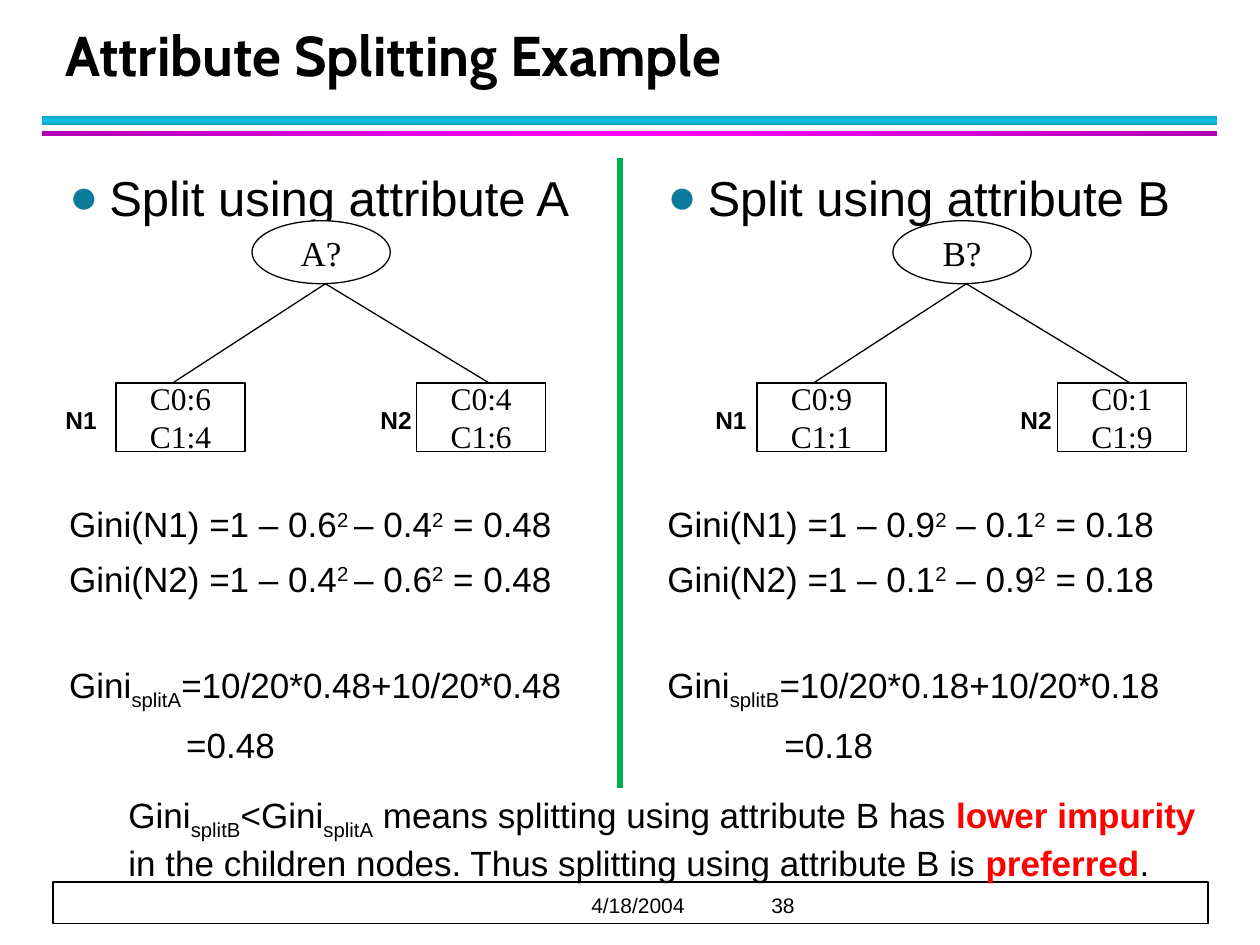
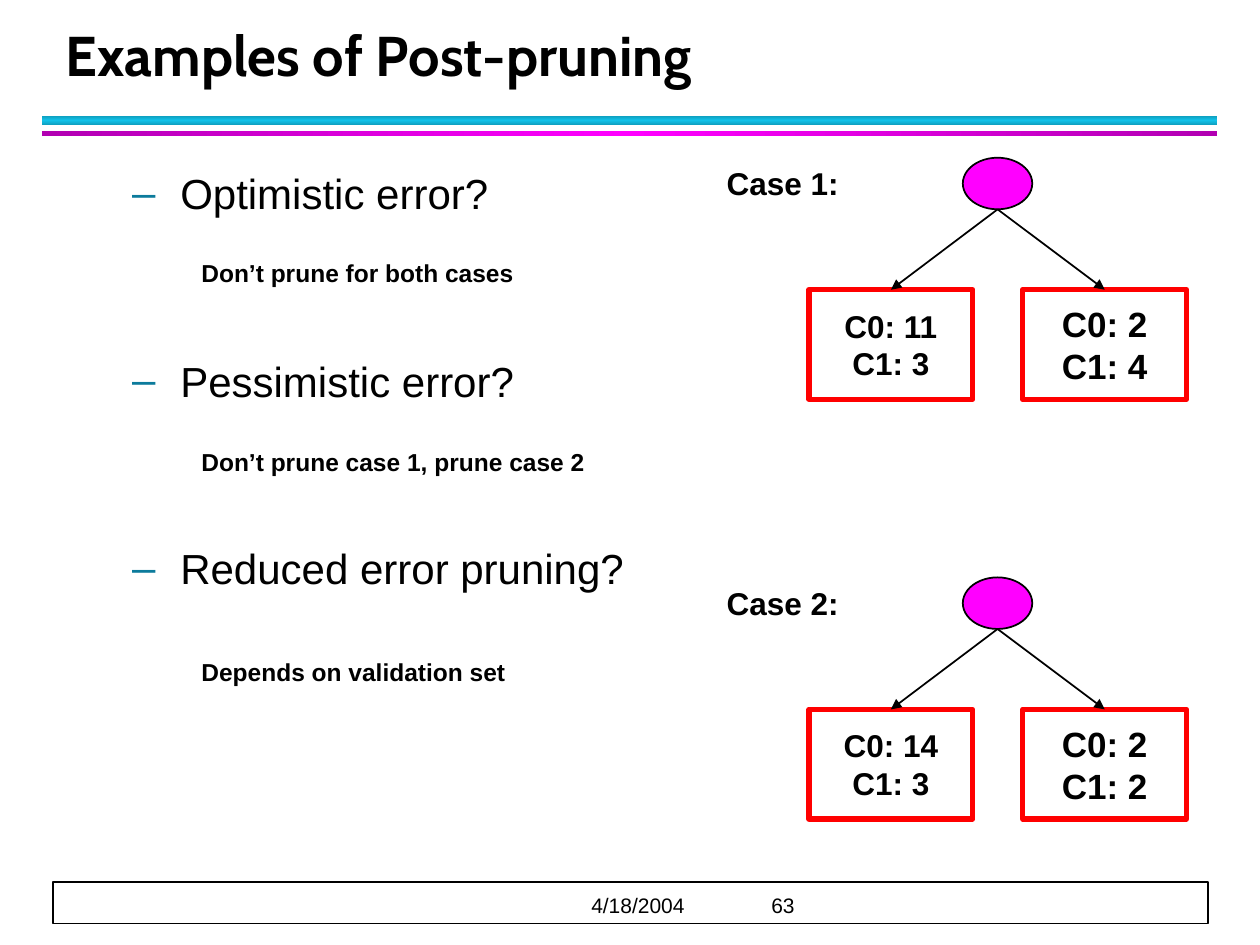
from copy import deepcopy
from lxml.etree import SubElement as Sub
from pptx import Presentation
from pptx.dml.color import RGBColor
from pptx.enum.shapes import MSO_CONNECTOR as Link, MSO_SHAPE as Kind
from pptx.enum.text import MSO_ANCHOR as Anchor, MSO_AUTO_SIZE as Fit, PP_ALIGN as Align
from pptx.oxml.ns import qn
from pptx.util import Cm, Pt

BLACK = RGBColor(0, 0, 0)
WHITE = RGBColor(255, 255, 255)
RED = RGBColor(255, 0, 0)
GREEN = RGBColor(0, 176, 80)
PINK = RGBColor(255, 0, 255)
PLUM = RGBColor(178, 0, 178)
CYAN = RGBColor(18, 194, 233)
TEAL = RGBColor(14, 155, 186)
MARK = RGBColor(12, 123, 156)
SANS = "Arial"
SERIF = "Times New Roman"
HEAD = "Cabin"


def put(page, kind, box, fill=None, line=None, width=1):
    box = [Cm(v) for v in box]
    if kind is None:
        shape = page.shapes.add_textbox(*box)
        shape.text_frame.word_wrap = True
        return shape
    shape = page.shapes.add_shape(kind, *box)
    shape.shadow.inherit = False
    if fill is None:
        shape.fill.background()
    else:
        shape.fill.solid()
        shape.fill.fore_color.rgb = fill
    if line is None:
        shape.line.fill.background()
    else:
        shape.line.color.rgb = line
        shape.line.width = Pt(width)
    shape.text_frame.vertical_anchor = Anchor.MIDDLE
    return shape


def say(para, text, size, font=SANS, bold=False, color=BLACK, base=0):
    run = para.add_run()
    run.text = text
    run.font.size = Pt(size)
    run.font.name = font
    run.font.bold = bold
    run.font.color.rgb = color
    if base:
        run._r.get_or_add_rPr().set("baseline", str(base * 1000))


deck = Presentation()
deck.slide_width, deck.slide_height = Cm(25.4), Cm(19.05)
split = deck.slides.add_slide(deck.slide_layouts[3])
prune = deck.slides.add_slide(deck.slide_layouts[1])
lines = []
items = []

for page, title, number in [
    (split, "Attribute Splitting Example", "38"),
    (prune, "Examples of Post-pruning", "63"),
]:
    for top, high, edge, core, angle in [
        (2.33, 0.2, TEAL, CYAN, 90),
        (2.64, 0.1, PLUM, PINK, 0),
    ]:
        band = put(page, Kind.RECTANGLE, (0.84, top, 23.7, high), core)
        band.fill.gradient()
        band.fill.gradient_angle = angle
        stops = band._element.spPr.find(".//" + qn("a:gsLst"))
        stops.append(deepcopy(stops[0]))
        for stop, color, place in zip(
            band.fill.gradient_stops, (edge, core, edge), (0, 0.5, 1)
        ):
            stop.color.rgb = color
            stop.position = place

    put(page, Kind.RECTANGLE, (1.07, 17.78, 23.29, 0.84), WHITE, BLACK)
    for left, text in [(11.92, "4/18/2004"), (15.55, number)]:
        frame = put(page, None, (left, 17.86, 3, 0.64)).text_frame
        frame.margin_left = frame.margin_top = frame.margin_bottom = 0
        frame.vertical_anchor = Anchor.BOTTOM
        say(frame.paragraphs[0], text, 12)

    name = page.shapes.title
    name.left, name.top, name.width, name.height = Cm(1.07), Cm(0.43), Cm(23), Cm(1.47)
    frame = name.text_frame
    frame.auto_size = Fit.NONE
    frame.vertical_anchor = Anchor.BOTTOM
    para = frame.paragraphs[0]
    para.alignment = Align.LEFT
    para.line_spacing = 1.12
    say(para, title, 32, HEAD, True)

for slot, left, wide in [
    (split.placeholders[1], 1.14, 11.35),
    (split.placeholders[2], 13.2, 11.35),
    (prune.placeholders[1], 1.14, 12.83),
]:
    slot.left, slot.top, slot.width, slot.height = Cm(left), Cm(3.25), Cm(wide), Cm(14.4)
    slot.text_frame.auto_size = Fit.NONE

for side, (key, shift, tags, nodes, sums, total) in enumerate([
    ("A", 0, (1.07, 7.42), ("64", "46"),
     (("0.6", "2 ", "– 0.4", " = 0.48"), ("0.4", "2 ", "– 0.6", " = 0.48")), "0.48"),
    ("B", 12.92, (14.17, 20.32), ("91", "19"),
     (("0.9", "2", " – 0.1", " = 0.18"), ("0.1", "2", " – 0.9", " = 0.18")), "0.18"),
]):
    frame = split.placeholders[side + 1].text_frame
    para = frame.paragraphs[0]
    say(para, "Split using attribute " + key, 28)
    items.append((para, 0.81, 0.81, "●", 0))
    for row, (first, power, second, result) in enumerate(sums):
        para = frame.add_paragraph()
        say(para, f"Gini(N{row + 1}) =1 – {first}", 20)
        say(para, power, 20, base=30)
        say(para, second, 20)
        say(para, "2", 20, base=30)
        say(para, result, 20)
        items.append((para, 0.81, 0.81, None, 7 if row else 158))
    para = frame.add_paragraph()
    say(para, "Gini", 20)
    say(para, "split" + key, 20, base=-25)
    say(para, f"=10/20*{total}+10/20*{total}", 20)
    items.append((para, 0.81, 0.81, None, 37))
    para = frame.add_paragraph()
    say(para, "=" + total, 20)
    items.append((para, 2.36, 0, None, 7))

    root = put(split, Kind.OVAL, (5.08 + shift, 4.45, 2.79, 1.27), WHITE, BLACK, 0.75)
    para = root.text_frame.paragraphs[0]
    para.alignment = Align.CENTER
    say(para, key + "?", 20, SERIF)
    for row, (left, end) in enumerate([(2.34, 3.48), (8.4, 9.86)]):
        line = split.shapes.add_connector(
            Link.STRAIGHT, Cm(6.56 + shift), Cm(5.72), Cm(end + shift), Cm(7.72)
        )
        lines.append((line, BLACK, 0.75, False))
        leaf = put(split, Kind.RECTANGLE, (left + shift, 7.72, 2.6, 1.38), WHITE, BLACK, 0.75)
        frame = leaf.text_frame
        for index, count in enumerate(nodes[row]):
            para = frame.add_paragraph() if index else frame.paragraphs[0]
            para.alignment = Align.CENTER
            group = f"C{index}:"
            say(para, group + (count if side == 0 else nodes[row][index]), 18, SERIF)
        tag = put(split, None, (tags[row], 8.05, 1.47, 0.86))
        say(tag.text_frame.paragraphs[0], f"N{row + 1}", 14, bold=True)

para = put(split, None, (2.34, 15.88, 22.66, 1.96)).text_frame.paragraphs[0]
for text, base, strong in [
    ("Gini", 0, False),
    ("splitB", -25, False),
    ("<Gini", 0, False),
    ("splitA", -25, False),
    (" means splitting using attribute B has ", 0, False),
    ("lower impurity ", 0, True),
    ("in the children nodes. Thus splitting using attribute B is ", 0, False),
    ("preferred", 0, True),
    (".", 0, False),
]:
    say(para, text, 20, bold=strong, color=RED if strong else BLACK, base=base)
line = split.shapes.add_connector(Link.STRAIGHT, Cm(12.5), Cm(3.18), Cm(12.5), Cm(15.88))
lines.append((line, GREEN, 3, False))

frame = prune.placeholders[1].text_frame
for row, (ask, reply, top) in enumerate([
    ("Optimistic error?", "Don’t prune for both cases", 5.08),
    ("Pessimistic error?", "Don’t prune case 1, prune case 2", 8.89),
    ("Reduced error pruning?", "Depends on validation set", 13.13),
]):
    para = frame.add_paragraph() if row else frame.paragraphs[0]
    para.level = 1
    say(para, ask, 24)
    items.append((para, 2.24, 0.97, "–", 78.4 if row else 0))
    note = put(prune, None, (3.81, top, 9.1, 0.84))
    say(note.text_frame.paragraphs[0], reply, 14, bold=True)

for case, leaves in enumerate([
    (("11", "3"), ("2", "4")),
    (("14", "3"), ("2", "2")),
]):
    top = 3.18 + 8.46 * case
    tag = put(prune, None, (14.4, top, 3.38, 1.02))
    say(tag.text_frame.paragraphs[0], f"Case {case + 1}:", 18, bold=True)
    put(prune, Kind.OVAL, (19.41, top, 1.4, 1.04), PINK, BLACK)
    for counts, left, size in zip(leaves, (16.31, 20.62), (18, 20)):
        leaf = put(prune, Kind.RECTANGLE, (left, top + 2.66, 3.3, 2.21), None, RED, 3)
        frame = leaf.text_frame
        for index, count in enumerate(counts):
            para = frame.add_paragraph() if index else frame.paragraphs[0]
            para.alignment = Align.CENTER
            say(para, f"C{index}: {count}", size, bold=True)
        line = prune.shapes.add_connector(
            Link.STRAIGHT, Cm(20.11), Cm(top + 1.04), Cm(left), Cm(top + 2.66)
        )
        line.end_connect(leaf, 0)
        lines.append((line, BLACK, 1, True))

for para, left, hang, mark, gap in items:
    para.space_before = Pt(gap)
    props = para._p.get_or_add_pPr()
    props.set("marL", str(Cm(left)))
    props.set("indent", str(-Cm(hang)))
    if mark:
        Sub(Sub(props, qn("a:buClr")), qn("a:srgbClr"), val=str(MARK))
        Sub(props, qn("a:buFont"), typeface=SANS)
        Sub(props, qn("a:buChar"), char=mark)
    else:
        Sub(props, qn("a:buNone"))

for line, color, width, tip in lines:
    line.line.color.rgb = color
    line.line.width = Pt(width)
    props = line._element.spPr
    if tip:
        Sub(props.find(qn("a:ln")), qn("a:tailEnd"), type="triangle")
    Sub(props, qn("a:effectLst"))

deck.save("out.pptx")
